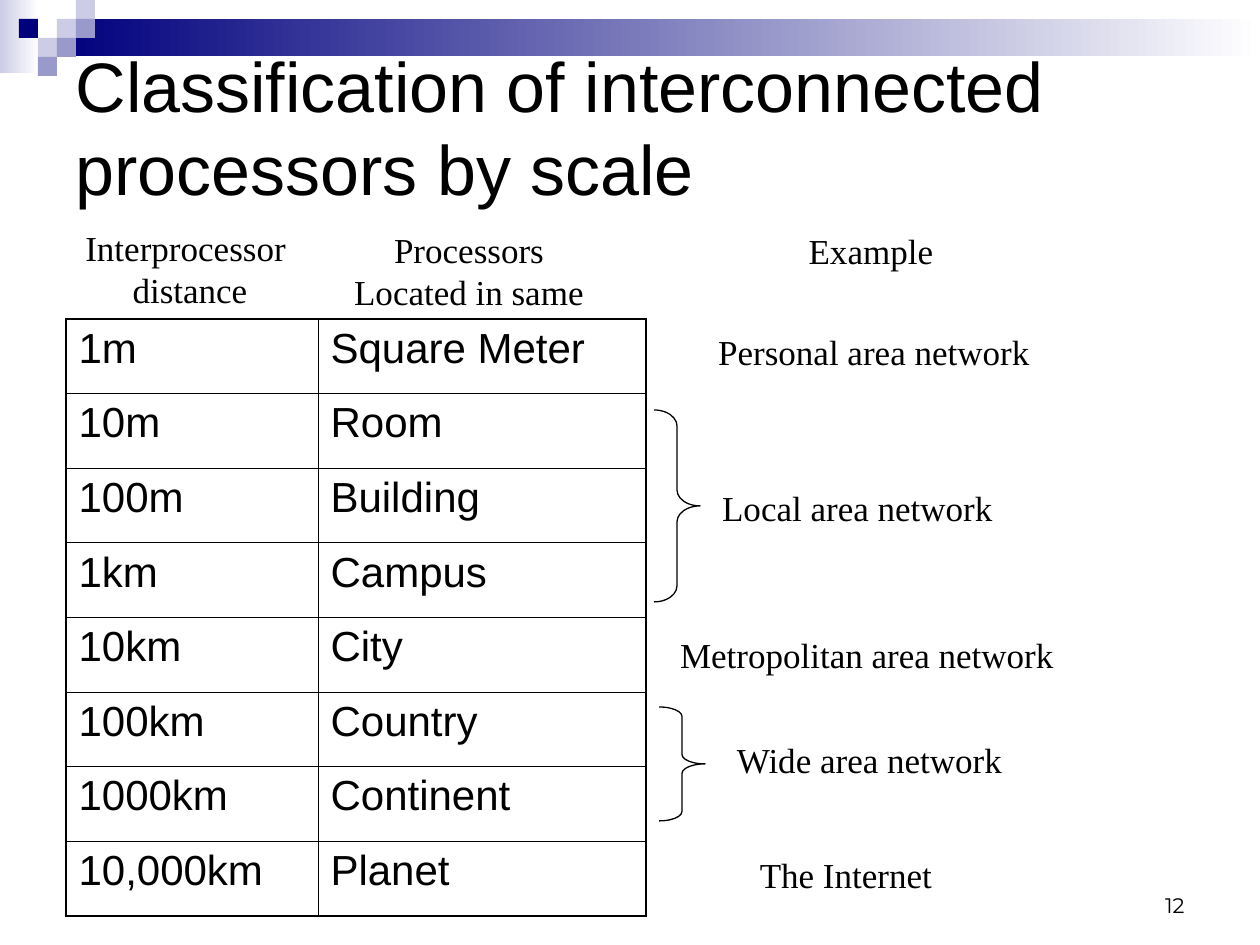
from lxml.etree import SubElement
from pptx import Presentation
from pptx.dml.color import RGBColor
from pptx.enum.shapes import MSO_SHAPE as SHAPE
from pptx.enum.text import MSO_ANCHOR as ANCHOR, MSO_AUTO_SIZE as AUTO, PP_ALIGN as ALIGN
from pptx.oxml.ns import qn
from pptx.util import Emu, Pt

BLACK = RGBColor(0x00, 0x00, 0x00)
WHITE = RGBColor(0xFF, 0xFF, 0xFF)
NAVY = RGBColor(0x00, 0x00, 0x7D)
LILAC = RGBColor(0xCC, 0xCC, 0xE6)
VIOLET = RGBColor(0x99, 0x99, 0xCC)

TITLE = "Classification of interconnected processors by scale"
ROWS = [
    ("1m", "Square Meter"),
    ("10m", "Room"),
    ("100m", "Building"),
    ("1km", "Campus"),
    ("10km", "City"),
    ("100km", "Country"),
    ("1000km", "Continent"),
    ("10,000km", "Planet"),
]
# Lines of text, then left, top and width of the box
LABELS = [
    (["Interprocessor ", "distance"], 72, 220, 236),
    (["Processors", "Located in same"], 340, 222, 258),
    (["Example"], 795, 223, 152),
    (["Personal area network"], 704, 324, 340),
    (["Local area network"], 707, 480, 301),
    (["Metropolitan area network"], 665, 627, 404),
    (["Wide area network"], 722, 732, 295),
    (["The Internet"], 745, 847, 202),
]
BRACES = [(654, 410, 46, 192), (659, 707, 46, 114)]
GRADIENTS = [((0, 0, 39, 73), LILAC), ((57, 19, 1203, 37), NAVY)]
# Column and row on the tile grid, then colour
TILES = [(3, 1, LILAC), (4, 0, LILAC), (4, 1, VIOLET), (2, 2, LILAC),
         (1, 1, NAVY), (3, 2, VIOLET), (2, 3, VIOLET)]
TILE = 19
TABLE_LEFT, TABLE_TOP, TABLE_HEIGHT = 66, 319, 597
COLUMN_WIDTHS = [252, 328]
LINE_HEIGHT, MARGINS = 42, 13
OUTER, INNER = 1.08, 0.45


def px(n):
    return Emu(round(n * 914400 / 126))


def box(*lengths):
    return [px(n) for n in lengths]


def style(p, font, size, align=ALIGN.LEFT):
    p.alignment = align
    p.font.name = font
    p.font.size = Pt(size)
    p.font.color.rgb = BLACK


def add_plain_shape(kind, bounds):
    s = slide.shapes.add_shape(kind, *box(*bounds))
    s.shadow.inherit = False
    return s


def add_block(bounds, color, fade=False):
    s = add_plain_shape(SHAPE.RECTANGLE, bounds)
    s.line.fill.background()
    if fade:
        s.fill.gradient()
        s.fill.gradient_angle = 0
        for stop, c in zip(s.fill.gradient_stops, (color, WHITE)):
            stop.color.rgb = c
    else:
        s.fill.solid()
        s.fill.fore_color.rgb = color


def add_text(lines, bounds, font, size, align):
    tf = slide.shapes.add_textbox(*box(*bounds)).text_frame
    for i, line in enumerate(lines):
        p = tf.add_paragraph() if i else tf.paragraphs[0]
        p.text = line
        style(p, font, size, align)
    return tf


def set_borders(cell, widths):
    tc_pr = cell._tc.get_or_add_tcPr()
    for side, width in widths.items():
        ln = SubElement(tc_pr, qn(f"a:ln{side}"), w=str(Pt(width)))
        fill = SubElement(ln, qn("a:solidFill"))
        SubElement(fill, qn("a:srgbClr"), val=str(BLACK))


def add_distance_table():
    n_rows, n_cols = len(ROWS), len(COLUMN_WIDTHS)
    frame = slide.shapes.add_table(n_rows, n_cols, *box(
        TABLE_LEFT, TABLE_TOP, sum(COLUMN_WIDTHS), TABLE_HEIGHT))
    table = frame.table
    table.first_row = table.horz_banding = False
    for column, width in zip(table.columns, COLUMN_WIDTHS):
        column.width = px(width)
    for r, texts in enumerate(ROWS):
        table.rows[r].height = px(TABLE_HEIGHT / n_rows)
        for c, text in enumerate(texts):
            cell = table.cell(r, c)
            cell.text = text
            style(cell.text_frame.paragraphs[0], "Arial", 24)
            edges = {"L": c == 0, "R": c == n_cols - 1,
                     "T": r == 0, "B": r == n_rows - 1}
            set_borders(cell, {side: OUTER if edge else INNER
                               for side, edge in edges.items()})
            cell.fill.background()


prs = Presentation()
prs.slide_width, prs.slide_height = box(1260, 945)
slide = prs.slides.add_slide(prs.slide_layouts[5])

for bounds, color in GRADIENTS:
    add_block(bounds, color, fade=True)
for col, row, color in TILES:
    add_block((col * TILE, row * TILE, TILE, TILE), color)

title = slide.shapes.title
title.left, title.top, title.width, title.height = box(63, 63, 1159, 126)
tf = title.text_frame
tf.text = TITLE
tf.auto_size = AUTO.NONE
tf.vertical_anchor = ANCHOR.MIDDLE
style(tf.paragraphs[0], "Arial", 40)
# Keep the title in front of the decoration
slide.shapes._spTree.append(title._element)

add_distance_table()
for lines, left, top, width in LABELS:
    height = len(lines) * LINE_HEIGHT + MARGINS
    tf = add_text(lines, (left, top, width, height), "Times New Roman", 20, ALIGN.CENTER)
    tf.word_wrap = False
    tf.auto_size = AUTO.SHAPE_TO_FIT_TEXT

for bounds in BRACES:
    s = add_plain_shape(SHAPE.RIGHT_BRACE, bounds)
    s.adjustments[0] = bounds[3] / 12 / bounds[2]
    s.fill.background()
    s.line.color.rgb = BLACK
    s.line.width = Pt(0.75)

number = add_text(["12"], (903, 861, 294, 63), "Montserrat", 12, ALIGN.RIGHT)
number.word_wrap = True
number.vertical_anchor = ANCHOR.BOTTOM

prs.save("out.pptx")
